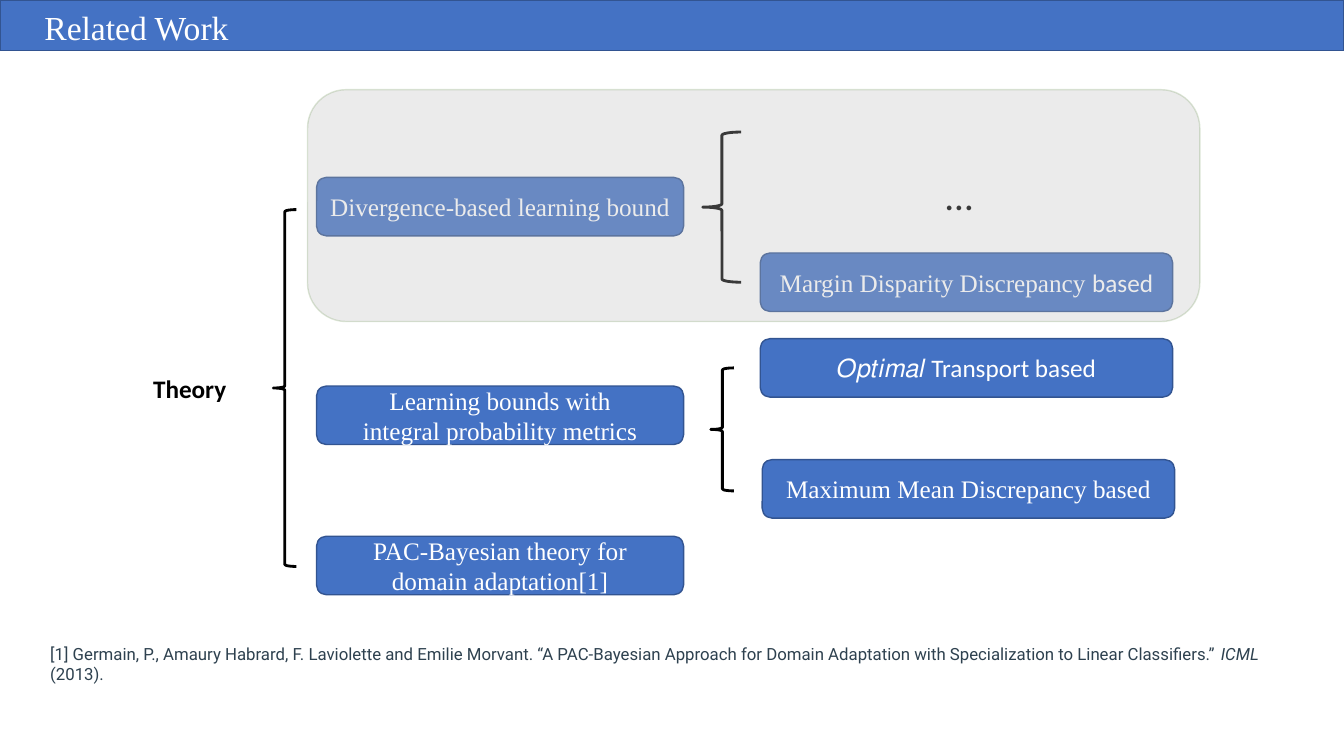
from lxml import etree
from pptx import Presentation
from pptx.dml.color import RGBColor
from pptx.enum.shapes import MSO_SHAPE as Shape
from pptx.enum.text import MSO_ANCHOR as Anchor, PP_ALIGN as Align
from pptx.oxml.ns import qn
from pptx.util import Inches, Pt

COLORS = {"blue": "4472C4", "edge": "325491", "white": "FFFFFF", "black": "000000",
          "veil": "BFBFBF", "veil_edge": "548235", "citation": "2E414F"}
SERIF, SANS, CITE = "Times New Roman", "Calibri", "Roboto"


def rgb(name):
    return RGBColor.from_string(COLORS[name])


def paint(shape, fill, line, width=1):
    """Fill and outline a shape; a fill of None leaves it empty."""
    if fill:
        shape.fill.solid()
        shape.fill.fore_color.rgb = rgb(fill)
    else:
        shape.fill.background()
    shape.line.color.rgb = rgb(line)
    shape.line.width = Pt(width)


def set_opacity(fill, percent):
    color = fill._xPr.find(qn("a:solidFill"))[0]
    etree.SubElement(color, qn("a:alpha")).set("val", str(percent * 1000))


def style(span, font, size, color):
    span.font.name, span.font.size = font, Pt(size)
    span.font.color.rgb = rgb(color)


def add_shape(page, kind, box):
    shape = page.shapes.add_shape(kind, *map(Inches, box))
    shape.shadow.inherit = False
    return shape


def add_text(page, box, text, font, size, color):
    frame = page.shapes.add_textbox(*map(Inches, box)).text_frame
    frame.word_wrap = True
    frame.text = text
    span = frame.paragraphs[0].runs[0]
    style(span, font, size, color)
    return span


def add_title(page, box, text):
    """The title placeholder doubles as the blue bar."""
    title = page.shapes.title
    title.left, title.top, title.width, title.height = map(Inches, box)
    paint(title, "blue", "edge")
    frame = title.text_frame
    frame.text = text
    frame.vertical_anchor = Anchor.TOP
    frame.margin_left, frame.margin_top = Inches(0.44), Inches(0.07)
    frame.margin_bottom = 0
    para = frame.paragraphs[0]
    para.alignment, para.line_spacing = Align.LEFT, 1.0
    style(para.runs[0], SERIF, 24, "white")


def add_topic(page, box, text, font=SERIF):
    topic = add_shape(page, Shape.ROUNDED_RECTANGLE, box)
    paint(topic, "blue", "edge")
    frame = topic.text_frame
    frame.word_wrap = True
    frame.vertical_anchor = Anchor.MIDDLE
    frame.text = text
    for para in frame.paragraphs:
        para.alignment = Align.CENTER
        style(para.runs[0], font, 18, "white")
    return frame.paragraphs[0]


def add_brace(page, box):
    paint(add_shape(page, Shape.LEFT_BRACE, box), None, "black", 2)


def add_tree(page, box):
    """Theory tree: root, three bounds, and the methods under them."""
    left, top, width, height = box
    topic_height = 0.58

    # Root
    add_text(page, (left, top + 2.76, 0.93, 0.4), "Theory", SANS, 18, "black").font.bold = True

    # Bounds
    bounds = [(0.87, "Divergence-based learning bound"),
              (2.94, "Learning bounds with\nintegral probability metrics"),
              (4.43, "PAC-Bayesian theory for\ndomain adaptation[1]")]
    for offset, text in bounds:
        add_topic(page, (left + 1.72, top + offset, 3.64, topic_height), text)

    # Methods
    method_left, method_width = left + 6.12, 4.09
    margin = add_topic(page, (method_left, top + 1.62, method_width, topic_height),
                       "Margin Disparity Discrepancy ")
    based = margin.add_run()
    based.text = "based"
    style(based, SANS, 18, "white")
    add_text(page, (left + 7.86, top + 0.76, 1.22, 0.57), "…", SANS, 28, "black")
    add_topic(page, (method_left, top + 2.47, method_width, topic_height),
              "𝑂𝑝𝑡𝑖𝑚𝑎𝑙 Transport based", SANS)
    add_topic(page, (method_left + 0.02, top + 3.67, method_width, topic_height),
              "Maximum Mean Discrepancy based")

    # Braces
    for x, y, brace_width, brace_height in [(1.29, 1.19, 0.23, 3.54),
                                            (5.55, 0.42, 0.38, 1.49),
                                            (5.63, 2.76, 0.23, 1.22)]:
        add_brace(page, (left + x, top + y, brace_width, brace_height))

    # Veil over the divergence branch
    veil = add_shape(page, Shape.ROUNDED_RECTANGLE, (left + 1.63, top, width - 1.63, 2.3))
    paint(veil, "veil", "veil_edge")
    set_opacity(veil.fill, 30)
    set_opacity(veil.line.fill, 20)


def add_citation(page, box):
    before = ("[1] Germain, P., Amaury Habrard, F. Laviolette and Emilie Morvant. "
              "“A PAC-Bayesian Approach for Domain Adaptation with Specialization "
              "to Linear Classifiers.” ")
    frame = page.shapes.add_textbox(*map(Inches, box)).text_frame
    frame.word_wrap = True
    para = frame.paragraphs[0]
    for text, italic in [(before, False), ("ICML", True), (" (2013).", False)]:
        span = para.add_run()
        span.text = text
        style(span, CITE, 12, "citation")
        span.font.italic = italic


def main():
    deck = Presentation()
    deck.slide_width, deck.slide_height = Inches(13.33), Inches(7.5)
    page = deck.slides.add_slide(deck.slide_layouts[5])
    add_title(page, (0, 0, 13.33, 0.5), "Related Work")
    add_tree(page, (1.42, 0.89, 10.48, 5.01))
    add_citation(page, (0.4, 6.34, 12.74, 0.5))
    deck.save("out.pptx")


if __name__ == "__main__":
    main()
